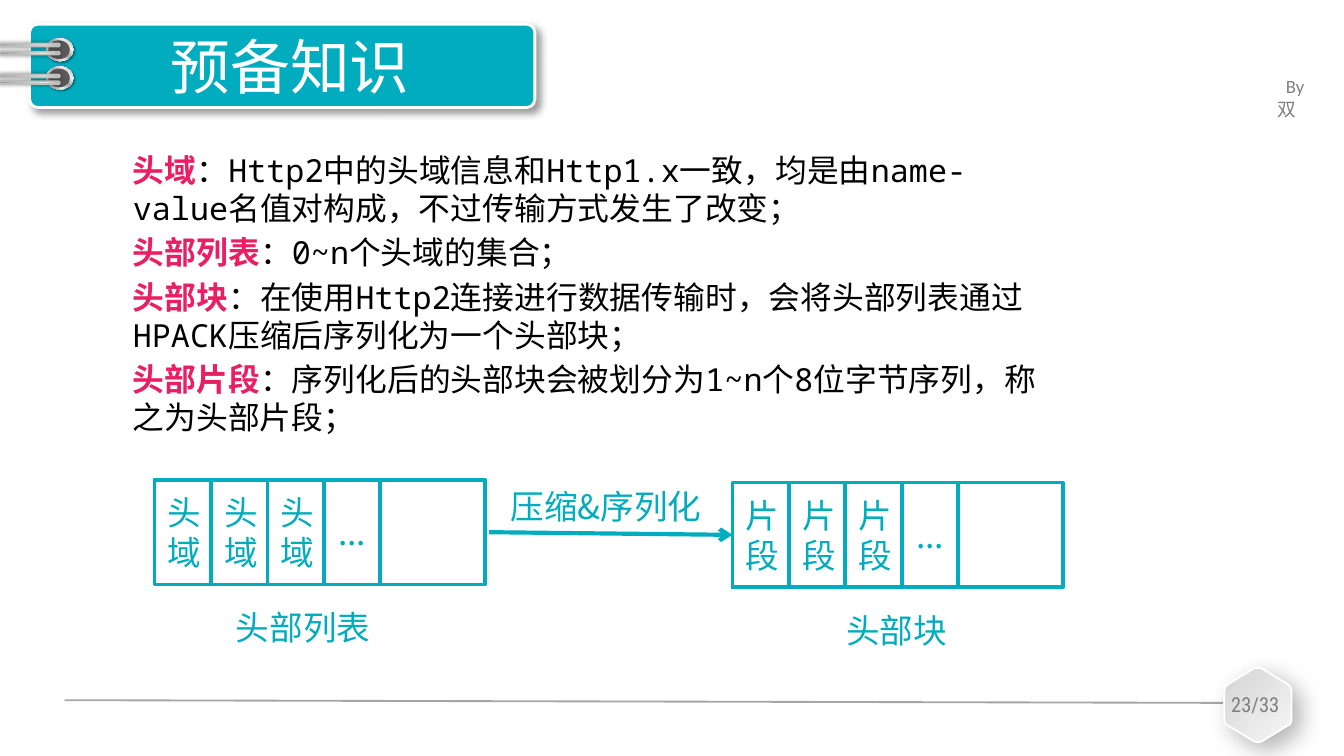
from dataclasses import dataclass
from lxml import etree
from pptx import Presentation
from pptx.dml.color import RGBColor
from pptx.enum.shapes import MSO_CONNECTOR, MSO_SHAPE
from pptx.enum.text import MSO_ANCHOR, PP_ALIGN
from pptx.oxml.ns import qn
from pptx.util import Inches, Pt

RECT, OVAL = MSO_SHAPE.RECTANGLE, MSO_SHAPE.OVAL
ROUND = MSO_SHAPE.ROUNDED_RECTANGLE
LINE = MSO_CONNECTOR.STRAIGHT
LEFT, MID = PP_ALIGN.LEFT, PP_ALIGN.CENTER
TOP, CENTER = MSO_ANCHOR.TOP, MSO_ANCHOR.MIDDLE


@dataclass(frozen=True)
class Theme:
    teal: str = "01ACBE"
    pink: str = "E91E63"
    black: str = "000000"
    white: str = "FFFFFF"
    gray: str = "808080"
    dark: str = "595959"
    rule: str = "A6A6A6"
    steel: str = "BFBFBF"
    ring: tuple = ((0, "FFFFFF"), (17, "A6A6A6"), (35, "F2F2F2"),
                   (55, "A6A6A6"), (75, "F2F2F2"), (100, "A6A6A6"))
    pin: tuple = ((0, "808080"), (23, "A6A6A6"), (52, "D9D9D9"),
                  (74, "FFFFFF"), (100, "A6A6A6"))
    badge: tuple = ((2, "D4D4D4"), (100, "F7F7F7"))
    sans: str = "Noto Sans CJK SC"
    mono: str = "Noto Sans Mono"
    latin: str = "Calibri"
    narrow: str = "Roboto Condensed"
    title: int = 32
    label: int = 18
    body: int = 17
    page: int = 11
    small: int = 10


T = Theme()

TERMS = (
    ("头域", "：Http2中的头域信息和Http1.x一致，均是由name-value名值对构成，不过传输方式发生了改变；"),
    ("头部列表", "：0~n个头域的集合；"),
    ("头部块", "：在使用Http2连接进行数据传输时，会将头部列表通过HPACK压缩后序列化为一个头部块；"),
    ("头部片段", "：序列化后的头部块会被划分为1~n个8位字节序列，称之为头部片段；"),
)


def color(code):
    return RGBColor.from_string(code)


def node(parent, tag, **attrs):
    return etree.SubElement(parent, qn(tag), {k: str(v) for k, v in attrs.items()})


def shade(shape, alpha, blur, dist, angle):
    """Outer shadow: opacity in percent, blur and distance in points."""
    props = shape._element.spPr
    for old in props.findall(qn("a:effectLst")):
        props.remove(old)
    drop = node(node(props, "a:effectLst"), "a:outerShdw", blurRad=Pt(blur),
                dist=Pt(dist), dir=angle * 60000, algn="tl", rotWithShape=0)
    node(node(drop, "a:srgbClr", val=T.black), "a:alpha", val=alpha * 1000)


def blend(shape, stops, angle):
    """Linear gradient with any number of stops."""
    shape.fill.gradient()
    grad = shape._element.spPr.find(qn("a:gradFill"))
    for child in list(grad):
        grad.remove(child)
    steps = node(grad, "a:gsLst")
    for pos, code in stops:
        node(node(steps, "a:gs", pos=pos * 1000), "a:srgbClr", val=code)
    node(grad, "a:lin", ang=angle * 60000, scaled=0)


def paint(shape, fill=None, line=None, width=1):
    shape.shadow.inherit = False
    if fill:
        shape.fill.solid()
        shape.fill.fore_color.rgb = color(fill)
    else:
        shape.fill.background()
    if line:
        shape.line.color.rgb = color(line)
        shape.line.width = Pt(width)
    else:
        shape.line.fill.background()


def add_box(slide, kind, box, **look):
    shape = slide.shapes.add_shape(kind, *map(Inches, box))
    paint(shape, **look)
    return shape


def style(para, face, size, code, align=MID):
    para.alignment = align
    font = para.font
    font.name, font.size = face, Pt(size)
    font.color.rgb = color(code)
    # The mono face sets the line height of Chinese text
    node(font._rPr, "a:ea", typeface=T.mono)


def add_text(slide, box, words, face=T.sans, size=T.label, code=T.teal,
             align=MID, anchor=TOP, wrap=True):
    frame = slide.shapes.add_textbox(*map(Inches, box)).text_frame
    frame.word_wrap, frame.vertical_anchor = wrap, anchor
    para = frame.paragraphs[0]
    para.text = words
    style(para, face, size, code, align)
    return frame


def add_line(slide, start, end, code, width):
    line = slide.shapes.add_connector(LINE, *map(Inches, start + end))
    line.line.color.rgb = color(code)
    line.line.width = Pt(width)
    node(line._element.spPr, "a:effectLst")
    return line


def add_banner(slide):
    plate = add_box(slide, ROUND, (0.22, 0.18, 3.76, 0.62),
                    fill=T.teal, line=T.white, width=1.5)
    plate.adjustments[0] = 0.1
    shade(plate, 40, 4, 3, 45)
    # Binder rings, each with a hole
    for top in (0.48, 0.27):
        ring = add_box(slide, OVAL, (0.36, top, 0.17, 0.2))
        blend(ring, T.ring, 45)
        shade(ring, 40, 1, 1, 45)
        hole = add_box(slide, OVAL, (0.37, top + 0.02, 0.14, 0.16), fill=T.dark)
        ring.rotation = hole.rotation = 270
    # Wires
    for top in (0.39, 0.34, 0.17, 0.11):
        wire = add_box(slide, ROUND, (0.21, top, 0.02, 0.45), line=T.steel)
        wire.adjustments[0] = 0.5
        wire.rotation = 270
        blend(wire, T.pin, 90)
        shade(wire, 40, 2, 0, 0)
    add_text(slide, (0.39, 0.19, 3.54, 0.6), "预备知识", size=T.title,
             code=T.white, anchor=CENTER)


def add_author(slide):
    frame = add_text(slide, (9.41, 0.51, 0.59, 0.27), "By 双", T.latin, T.small,
                     T.gray, LEFT)
    frame.margin_right = Inches(0.2)
    para = frame.paragraphs[0]
    para._p.get_or_add_pPr().set("indent", str(Inches(0.06)))


def add_footer(slide):
    add_line(slide, (0.48, 5.21), (9.1, 5.23), T.rule, 1)
    # Hexagon with trimmed corners, mirrored about its centre line
    mid = 9.36
    half = ((0.02, 4.97), (0.04, 4.98), (0.22, 5.09), (0.24, 5.11), (0.25, 5.14),
            (0.25, 5.36), (0.24, 5.39), (0.22, 5.4), (0.04, 5.51), (0.02, 5.52))
    dots = [(mid + x, y) for x, y in half] + [(mid - x, y) for x, y in half[::-1]]
    dots = [(Inches(x), Inches(y)) for x, y in dots]
    pen = slide.shapes.build_freeform(*dots[0])
    pen.add_line_segments(dots[1:], close=True)
    badge = pen.convert_to_shape()
    paint(badge, line=T.white)
    blend(badge, T.badge, 45)
    shade(badge, 30, 13, 6, 45)
    add_text(slide, (9.05, 5.1, 0.58, 0.29), "23/33", T.narrow, T.page, T.gray,
             wrap=False)


def add_terms(slide):
    box = slide.shapes.add_textbox(*map(Inches, (0.89, 1.07, 7.05, 2.47)))
    frame = box.text_frame
    frame.word_wrap = True
    for i, (term, text) in enumerate(TERMS):
        para = frame.add_paragraph() if i else frame.paragraphs[0]
        if i:
            para.space_before = Pt(3.4)
        style(para, T.mono, T.body, T.black, LEFT)
        head = para.add_run()
        head.text, head.font.bold = term, True
        head.font.color.rgb = color(T.pink)
        para.add_run().text = text


def add_strip(slide, left, top, word):
    """A long frame whose first four cells are marked off."""
    look = dict(line=T.teal, width=2)
    strip = add_box(slide, RECT, (left, top, 2.46, 0.78), **look)
    for i, words in enumerate((word, word, word, "...")):
        cell = add_box(slide, RECT, (left + i * 0.42, top, 0.42, 0.78), **look)
        cell.text_frame.vertical_anchor = CENTER
        para = cell.text_frame.paragraphs[0]
        para.text = words
        style(para, T.sans, T.label, T.teal)
    return strip


def add_flow(slide):
    add_strip(slide, 1.15, 3.57, "头域")
    block = add_strip(slide, 5.45, 3.59, "片段")
    arrow = add_line(slide, (3.64, 3.96), (5.45, 3.98), T.teal, 2.25)
    arrow.end_connect(block, 1)
    node(arrow.line._get_or_add_ln(), "a:tailEnd", type="arrow")
    add_text(slide, (3.56, 3.57, 1.9, 0.4), "压缩&序列化")
    add_text(slide, (1.65, 4.47, 1.21, 0.4), "头部列表", wrap=False)
    add_text(slide, (6.19, 4.49, 0.96, 0.4), "头部块", wrap=False)


def main():
    deck = Presentation()
    # Widescreen, 16:9
    deck.slide_width = Inches(10)
    deck.slide_height = Inches(10) * 9 // 16
    slide = deck.slides.add_slide(deck.slide_layouts[6])
    add_banner(slide)
    add_author(slide)
    add_footer(slide)
    add_terms(slide)
    add_flow(slide)
    deck.save("out.pptx")


if __name__ == "__main__":
    main()
